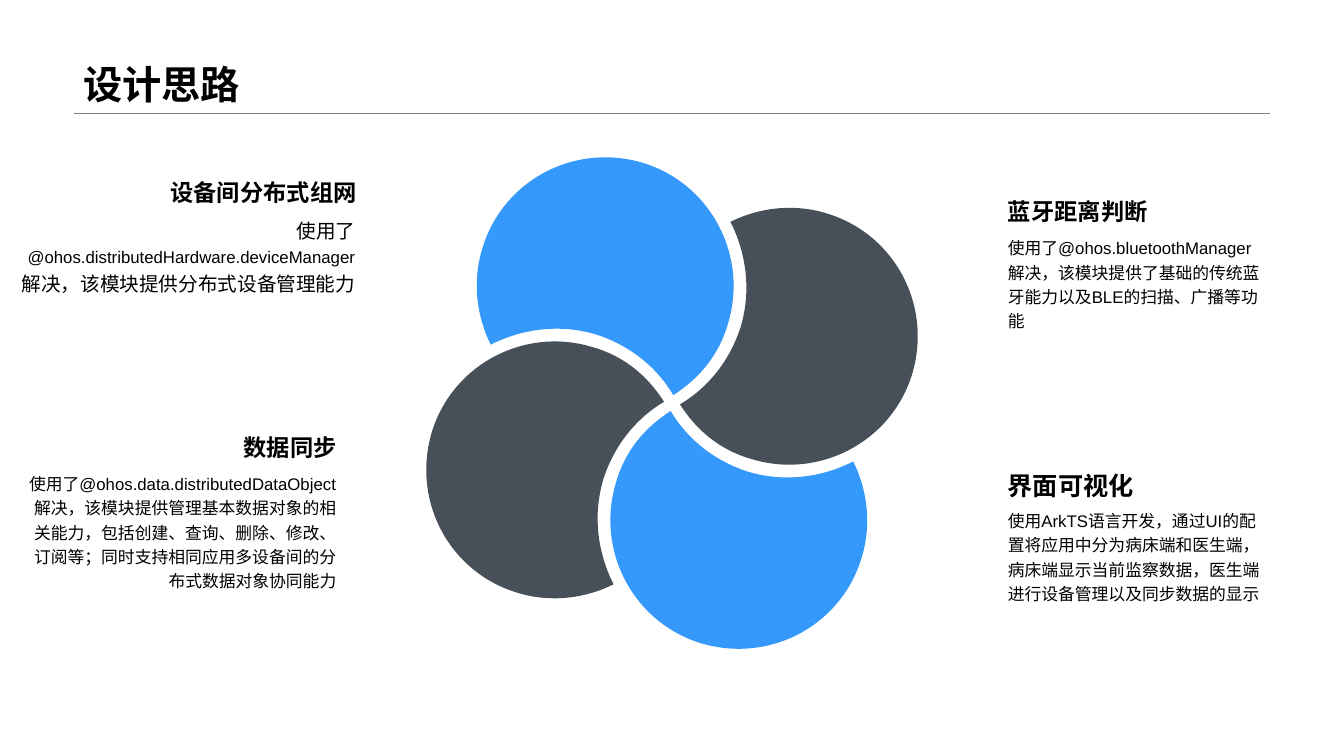
from math import cos, radians, sin

from pptx import Presentation
from pptx.dml.color import RGBColor
from pptx.enum import shapes as s, text as t
from pptx.oxml.ns import qn
from pptx.util import Pt

BLACK, GREY, BLUE, SLATE = "000000", "808080", "3598FB", "475059"
LEFT, RIGHT = t.PP_ALIGN.LEFT, t.PP_ALIGN.RIGHT
HUB = (480, 287.9)
TILT = 323.3  # rotation of the top petal

# Top petal: its start, then two handles and an end for each curve
START = (426.2, 239)
CURVES = [
    ((450.7, 247), (469.4, 262.8), (481, 282.2)),
    ((499, 270.7), (513.4, 254.2), (519.8, 231.8)),
    ((535, 183.6), (508.3, 131.8), (460.1, 116.6)),
    ((411.1, 101.5), (360, 128.2), (344.9, 176.4)),
    ((337, 200.9), (340.6, 226.1), (350.6, 246.2)),
    ((373, 234.7), (400.3, 231.1), START),
]

# align, heading (left, top, size), text box (left, top, width, height),
# heading, runs of text with their sizes
NOTES = [
    (RIGHT, (67.7, 123.5, 16.65), (4.1, 149.8, 257, 70.6), "设备间分布式组网",
     [("使用了", 14), ("@ohos.distributedHardware.deviceManager", 12),
      ("解决，该模块提供分布式设备管理能力", 14)]),
    (RIGHT, (53.3, 306, 16.65), (9.1, 332.2, 238.3, 139.7), "数据同步",
     [("使用了@ohos.data.distributedDataObject解决，该模块提供管理基本数据对象的"
       "相关能力，包括创建、查询、删除、修改、订阅等；同时支持相同应用多设备间的"
       "分布式数据对象协同能力", 12)]),
    (LEFT, (712.8, 332.3, 18), (712.8, 358.6, 194.4, 81.4), "界面可视化",
     [("使用ArkTS语言开发，通过UI的配置将应用中分为病床端和医生端，病床端显示"
       "当前监察数据，医生端进行设备管理以及同步数据的显示", 12)]),
    (LEFT, (712.8, 137.5, 16.65), (712.8, 163.7, 194.4, 76.3), "蓝牙距离判断",
     [("使用了@ohos.bluetoothManager 解决，该模块提供了基础的传统蓝牙能力以及"
       "BLE的扫描、广播等功能", 12)]),
]


def paint(color):
    return RGBColor.from_string(color)


def add_text(slide, box, runs, align=LEFT, bold=False, wrap=True, space=1.0,
             anchor=t.MSO_ANCHOR.TOP):
    frame = slide.shapes.add_textbox(*map(Pt, box)).text_frame
    frame.word_wrap = wrap
    frame.vertical_anchor = anchor
    para = frame.paragraphs[0]
    para.alignment = align
    para.line_spacing = space
    for words, size in runs:
        run = para.add_run()
        run.text = words
        run.font.name = "Arial"
        run.font.size = Pt(size)
        run.font.bold = bold
        run.font.color.rgb = paint(BLACK)


def add_rule(slide, left, right, top):
    rule = slide.shapes.add_connector(
        s.MSO_CONNECTOR.STRAIGHT, Pt(left), Pt(top), Pt(right), Pt(top))
    rule.line.color.rgb = paint(GREY)
    rule.line.width = Pt(0.25)
    props = rule._element.spPr
    props.append(props.makeelement(qn("a:effectLst"), {}))


def spin(point, turn):
    """Turn a point clockwise about the hub."""
    x, y = point[0] - HUB[0], point[1] - HUB[1]
    c, d = cos(radians(turn)), sin(radians(turn))
    return HUB[0] + x * c - y * d, HUB[1] + x * d + y * c


def bend(shape):
    """Make each three straight segments of an outline into one curve."""
    lines = list(shape._element.iter(qn("a:lnTo")))
    for first, *rest in zip(lines[::3], lines[1::3], lines[2::3]):
        curve = first.makeelement(qn("a:cubicBezTo"), {})
        first.addprevious(curve)
        for line in (first, *rest):
            curve.append(line[0])
            line.getparent().remove(line)


def add_petal(slide, turn, color):
    first, *others = [[Pt(v) for v in spin(point, -TILT)]
                      for point in [START, *sum(CURVES, ())]]
    pen = slide.shapes.build_freeform(*first, scale=1.0)
    pen.add_line_segments(others, close=True)
    petal = pen.convert_to_shape()
    bend(petal)
    mid = ((petal.left + petal.width / 2) / Pt(1),
           (petal.top + petal.height / 2) / Pt(1))
    x, y = spin(mid, turn)
    petal.left = Pt(x) - petal.width // 2
    petal.top = Pt(y) - petal.height // 2
    petal.rotation = turn % 360
    petal.shadow.inherit = False
    petal.fill.solid()
    petal.fill.fore_color.rgb = paint(color)
    petal.line.fill.background()


def main():
    deck = Presentation()
    deck.slide_width, deck.slide_height = Pt(960), Pt(540)
    slide = deck.slides.add_slide(deck.slide_layouts[6])

    add_rule(slide, 52.6, 907.2, 80.9)
    add_text(slide, (52.6, 0, 854.6, 80.9), [("设计思路", 28)], bold=True,
             space=0.9, anchor=t.MSO_ANCHOR.BOTTOM)
    for align, (left, top, size), box, head, runs in NOTES:
        add_text(slide, (left, top, 194.4, 25.9), [(head, size)], align,
                 bold=True, wrap=False)
        add_text(slide, box, runs, align, space=1.2)
    for step, color in enumerate((BLUE, SLATE, BLUE, SLATE)):
        add_petal(slide, TILT + 90 * step, color)

    deck.save("out.pptx")


if __name__ == "__main__":
    main()
